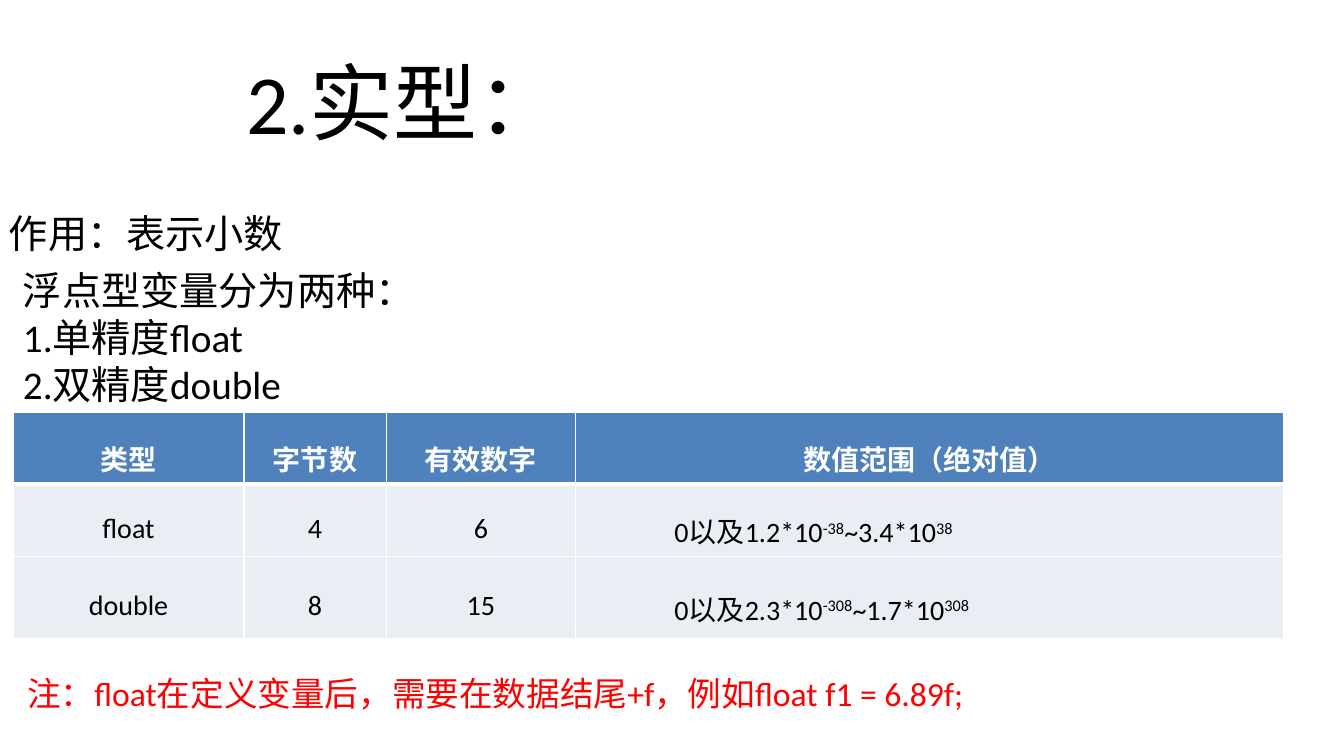
from lxml import etree
from pptx import Presentation
from pptx.dml.color import RGBColor
from pptx.enum import text as t
from pptx.oxml import ns
from pptx.util import Inches, Pt

BLACK = RGBColor(0x00, 0x00, 0x00)
WHITE = RGBColor(0xFF, 0xFF, 0xFF)
RED = RGBColor(0xFF, 0x00, 0x00)
BLUE = RGBColor(0x4F, 0x81, 0xBD)
PALE = RGBColor(0xE9, 0xED, 0xF4)

HEADER = ["类型", "字节数", "有效数字", "数值范围（绝对值）"]
TYPES = [
    ["float", "4", "6", "0以及1.2*10^-38^~3.4*10^38"],
    ["double", "8", "15", "0以及2.3*10^-308^~1.7*10^308"],
]
COLUMN_WIDTHS = [2.29, 1.41, 1.88, 7.02]
ROW_HEIGHTS = [0.71, 0.72, 0.82]


def write(para, words, size, color=BLACK, bold=False, align=t.PP_ALIGN.LEFT, spacing=None):
    """Fill a paragraph; every second part between ^ marks is superscript."""
    para.alignment = align
    if spacing:
        para.line_spacing = spacing
    for index, part in enumerate(words.split("^")):
        if not part:
            continue
        span = para.add_run()
        span.text = part
        span.font.name = "Calibri"
        span.font.size = Pt(size)
        span.font.bold = bold
        span.font.color.rgb = color
        if index % 2:
            span._r.get_or_add_rPr().set("baseline", "30000")


def fill_box(box, lines, size, color=BLACK, wrap=True):
    frame = box.text_frame
    frame.word_wrap = wrap
    frame.auto_size = t.MSO_AUTO_SIZE.SHAPE_TO_FIT_TEXT
    frame.vertical_anchor = t.MSO_ANCHOR.TOP
    for index, line in enumerate(lines):
        para = frame.add_paragraph() if index else frame.paragraphs[0]
        write(para, line, size, color)


def add_title(page, left, top, width, height):
    title = page.shapes.title
    title.left, title.top = Inches(left), Inches(top)
    title.width, title.height = Inches(width), Inches(height)
    fill_box(title, ["2.实型："], 60, wrap=False)


def add_text(page, left, top, width, height, lines, size, **style):
    box = page.shapes.add_textbox(Inches(left), Inches(top), Inches(width), Inches(height))
    fill_box(box, lines, size, **style)


def add_borders(cell, widths):
    """Draw white borders, given as widths in points by side."""
    properties = cell._tc.get_or_add_tcPr()
    for side, width in widths.items():
        line = etree.SubElement(properties, ns.qn(f"a:ln{side}"), w=str(Pt(width)))
        fill = etree.SubElement(line, ns.qn("a:solidFill"))
        etree.SubElement(fill, ns.qn("a:srgbClr"), val=str(WHITE))


def add_type_table(page, left, top):
    rows = [HEADER] + TYPES
    frame = page.shapes.add_table(
        len(rows), len(HEADER), Inches(left), Inches(top),
        Inches(sum(COLUMN_WIDTHS)), Inches(sum(ROW_HEIGHTS)))
    table = frame.table
    for column, width in zip(table.columns, COLUMN_WIDTHS):
        column.width = Inches(width)
    for row_index, (row, height) in enumerate(zip(rows, ROW_HEIGHTS)):
        table.rows[row_index].height = Inches(height)
        header = row_index == 0
        for column_index, words in enumerate(row):
            cell = table.cell(row_index, column_index)
            add_borders(cell, {"L": 1, "R": 1, "T": 3 if row_index == 1 else 1,
                               "B": 3 if header else 1})
            cell.fill.solid()
            cell.fill.fore_color.rgb = BLUE if header else PALE
            cell.vertical_anchor = t.MSO_ANCHOR.MIDDLE
            value_range = not header and column_index == len(HEADER) - 1
            if value_range:
                cell.margin_left = cell.margin_right = Inches(0.98)
            write(cell.text_frame.paragraphs[0], words, 20,
                  color=WHITE if header else BLACK, bold=header, spacing=1.5,
                  align=t.PP_ALIGN.JUSTIFY if value_range else t.PP_ALIGN.CENTER)


def main():
    deck = Presentation()
    deck.slide_width, deck.slide_height = Inches(13.33), Inches(7.5)
    page = deck.slides.add_slide(deck.slide_layouts[5])
    add_title(page, 2.34, 0.45, 3.36, 1.11)
    add_text(page, -0.01, 2.03, 13.34, 0.57, ["作用：表示小数"], 28)
    add_text(page, 0.13, 2.59, 4.13, 1.51,
             ["浮点型变量分为两种：", "1.单精度float", "2.双精度double"], 28)
    add_type_table(page, 0.13, 4.09)
    add_text(page, 0.17, 6.63, 9.58, 0.5,
             ["注：float在定义变量后，需要在数据结尾+f，例如float f1 = 6.89f;"], 24, color=RED)
    deck.save("out.pptx")


if __name__ == "__main__":
    main()
